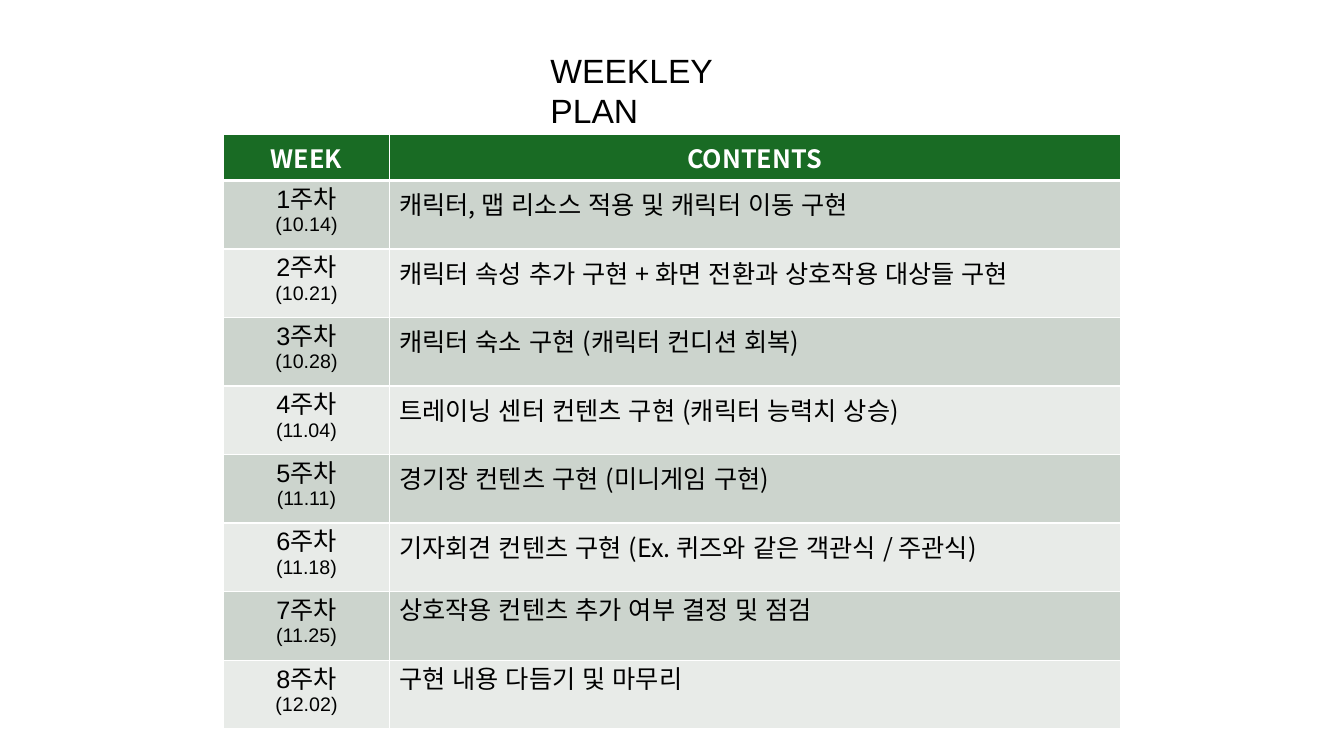
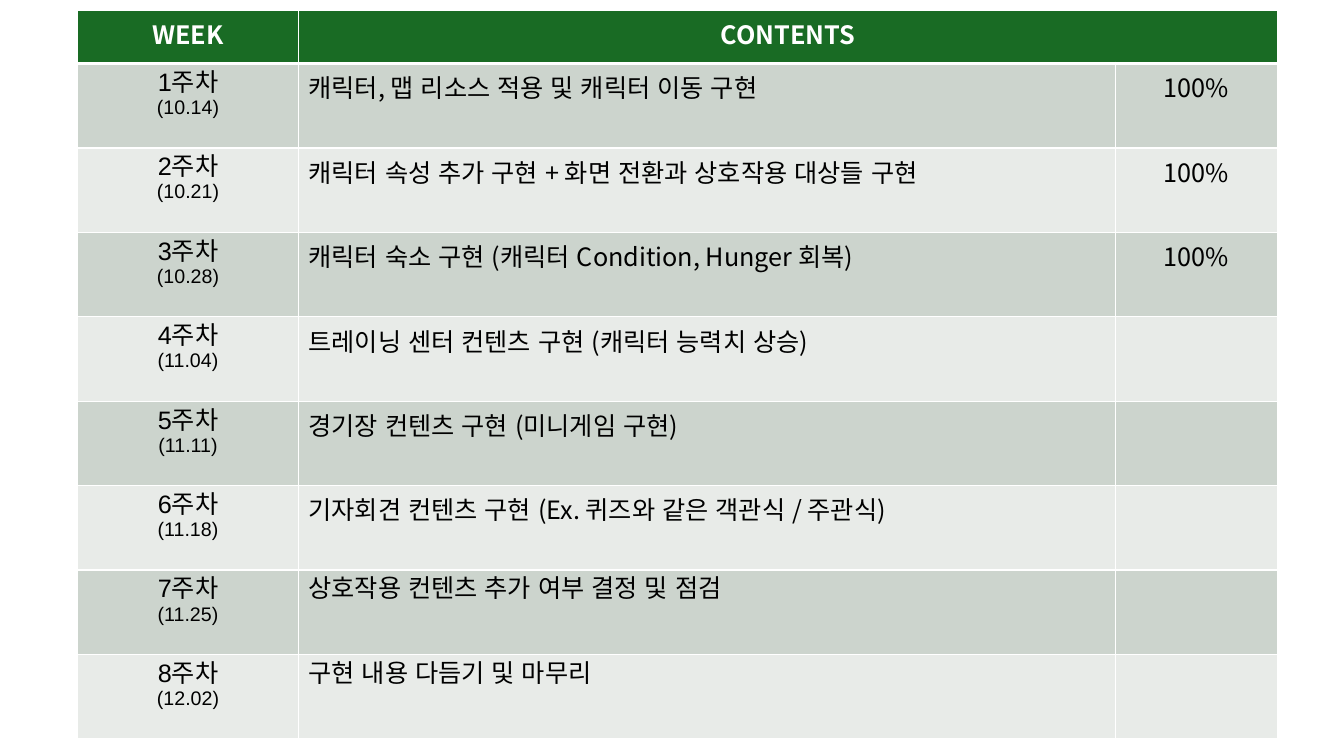
import pptx
import pptx.dml.color
import pptx.enum.text
import pptx.oxml
import pptx.oxml.ns
import pptx.util

Inches = pptx.util.Inches
Pt = pptx.util.Pt
RGBColor = pptx.dml.color.RGBColor
Align = pptx.enum.text.PP_ALIGN

WHITE = RGBColor(0xFF, 0xFF, 0xFF)
BLACK = RGBColor(0x00, 0x00, 0x00)
GREEN = RGBColor(0x19, 0x6B, 0x24)
BANDS = (RGBColor(0xCC, 0xD4, 0xCD), RGBColor(0xE8, 0xEB, 0xE8))

LABEL_FONT = "Arial"
CONTENT_FONT = "Noto Sans CJK KR"
EAST_ASIAN_FONT = "Arial"
THIN, THICK = 1, 3
TITLE_ONLY, BLANK = 5, 6

DATES = ("10.14", "10.21", "10.28", "11.04", "11.11", "11.18", "11.25", "12.02")
PLAN = (
    "캐릭터, 맵 리소스 적용 및 캐릭터 이동 구현",
    "캐릭터 속성 추가 구현 + 화면 전환과 상호작용 대상들 구현",
    "캐릭터 숙소 구현 (캐릭터 컨디션 회복)",
    "트레이닝 센터 컨텐츠 구현 (캐릭터 능력치 상승)",
    "경기장 컨텐츠 구현 (미니게임 구현)",
    "기자회견 컨텐츠 구현 (Ex. 퀴즈와 같은 객관식 / 주관식)",
    "상호작용 컨텐츠 추가 여부 결정 및 점검",
    "구현 내용 다듬기 및 마무리",
)
REVISED_PLAN = PLAN[:2] + ("캐릭터 숙소 구현 (캐릭터 Condition, Hunger 회복)",) + PLAN[3:]
PROGRESS = ("100%",) * 3 + ("",) * 5


def write_text(paragraph, text, size=18, font=CONTENT_FONT, color=BLACK, bold=False, align=Align.LEFT):
    paragraph.alignment = align
    run = paragraph.add_run()
    run.text = text
    run.font.size = Pt(size)
    run.font.name = font
    run.font.bold = bold
    run.font.color.rgb = color
    east_asian = pptx.oxml.parse_xml(
        f'<a:ea {pptx.oxml.ns.nsdecls("a")} typeface="{EAST_ASIAN_FONT}"/>'
    )
    run.font._element.append(east_asian)


def format_cell(cell, fill, top=THIN, bottom=THIN):
    properties = cell._tc.get_or_add_tcPr()
    for side, width in (("L", THIN), ("R", THIN), ("T", top), ("B", bottom)):
        properties.append(pptx.oxml.parse_xml(
            f'<a:ln{side} {pptx.oxml.ns.nsdecls("a")} w="{Pt(width)}">'
            f'<a:solidFill><a:srgbClr val="{WHITE}"/></a:solidFill></a:ln{side}>'
        ))
    cell.fill.solid()
    cell.fill.fore_color.rgb = fill


def add_title(slide, text, left, top, width, height):
    title = slide.shapes.title
    title.left, title.top = Inches(left), Inches(top)
    title.width, title.height = Inches(width), Inches(height)
    frame = title.text_frame
    frame.word_wrap = True
    frame.auto_size = pptx.enum.text.MSO_AUTO_SIZE.SHAPE_TO_FIT_TEXT
    frame.vertical_anchor = pptx.enum.text.MSO_ANCHOR.TOP
    write_text(frame.paragraphs[0], text, size=24, font=LABEL_FONT)


def add_schedule(slide, left, top, height, column_widths, header_height, contents, progress=()):
    row_height = (height - header_height) / len(contents)
    heights = [header_height] + [row_height] * len(contents)
    table = slide.shapes.add_table(
        len(heights), len(column_widths), Inches(left), Inches(top),
        Inches(sum(column_widths)), Inches(height),
    ).table
    for column, width in zip(table.columns, column_widths):
        column.width = Inches(width)
    for index, (row, cell_height) in enumerate(zip(table.rows, heights)):
        row.height = Inches(cell_height)
        for cell in row.cells:
            if index == 0:
                format_cell(cell, GREEN, bottom=THICK)
            else:
                format_cell(cell, BANDS[(index - 1) % 2], top=THICK if index == 1 else THIN)

    for column, heading in enumerate(("WEEK", "CONTENTS")):
        write_text(table.cell(0, column).text_frame.paragraphs[0], heading,
                   color=WHITE, bold=True, align=Align.CENTER)
    if progress:
        table.cell(0, 1).merge(table.cell(0, 2))

    for week, (date, content) in enumerate(zip(DATES, contents), start=1):
        frame = table.cell(week, 0).text_frame
        write_text(frame.paragraphs[0], f"{week}주차", font=LABEL_FONT, align=Align.CENTER)
        write_text(frame.add_paragraph(), f"({date})", size=14, font=LABEL_FONT, align=Align.CENTER)
        write_text(table.cell(week, 1).text_frame.paragraphs[0], content)
    for week, percent in enumerate(progress, start=1):
        if percent:
            write_text(table.cell(week, 2).text_frame.paragraphs[0], percent, align=Align.CENTER)


def add_plan_slide(presentation):
    slide = presentation.slides.add_slide(presentation.slide_layouts[TITLE_ONLY])
    add_schedule(slide, 2.22, 1.33, 5.9, (1.64, 7.25), 0.46, PLAN)
    add_title(slide, "WEEKLEY PLAN", 5.36, 0.44, 2.61, 0.5)


def add_progress_slide(presentation):
    slide = presentation.slides.add_slide(presentation.slide_layouts[BLANK])
    add_schedule(slide, 0.77, 0.1, 7.23, (2.19, 8.1, 1.61), 0.53, REVISED_PLAN, PROGRESS)


def main():
    presentation = pptx.Presentation()
    presentation.slide_width = Inches(13.33)
    presentation.slide_height = Inches(7.5)
    add_plan_slide(presentation)
    add_progress_slide(presentation)
    presentation.save("out.pptx")


if __name__ == "__main__":
    main()
